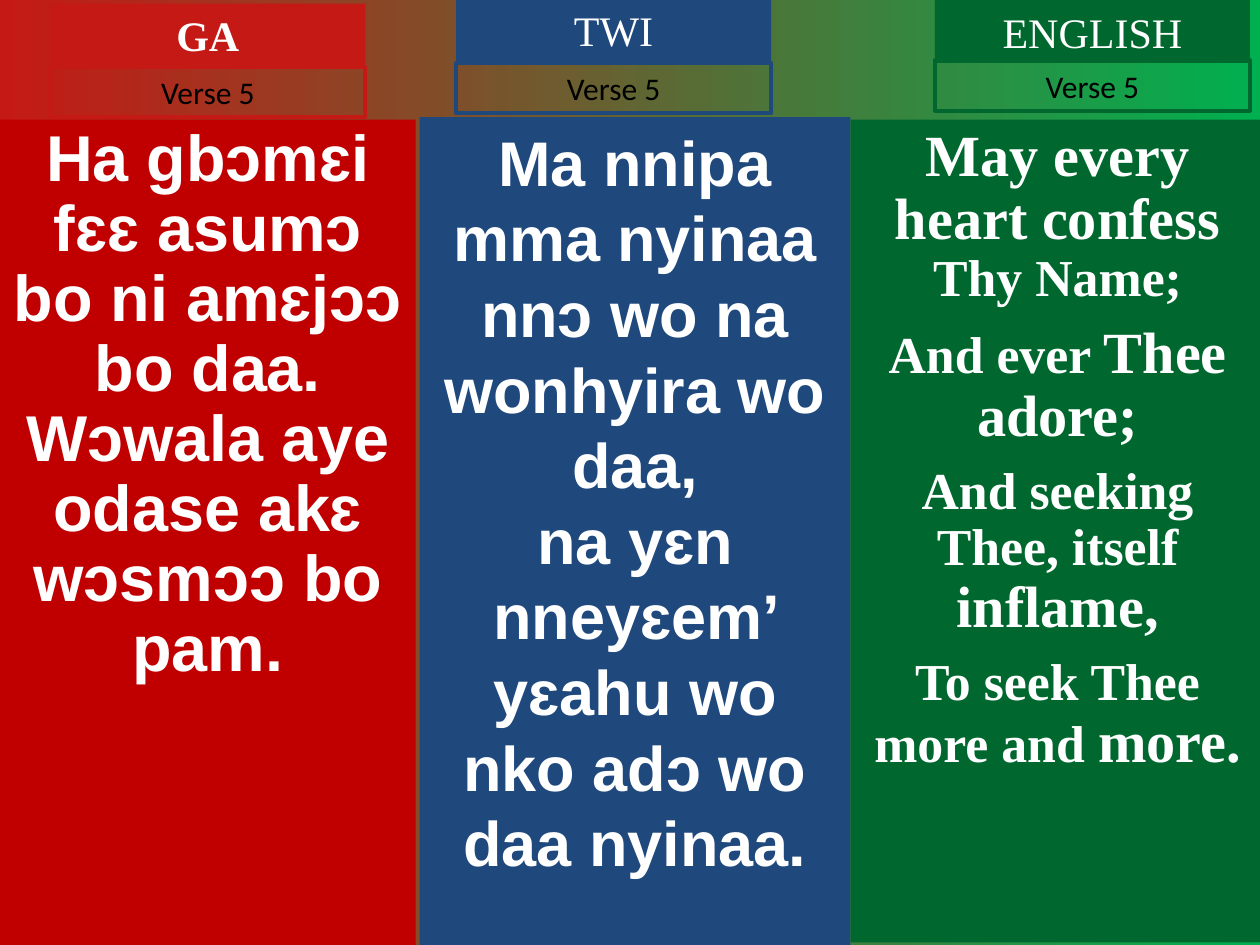
"""Build a hymn slide showing verse 5 side by side in Ga, Twi and English."""
from pptx import Presentation
from pptx import util as u
from pptx.dml.color import RGBColor
from pptx.enum import shapes, text

COLORS = {"red": "C51915", "deep red": "C00000", "blue": "1F497D", "green": "00682F",
          "bright green": "00B050", "white": "FFFFFF", "black": "000000"}
WIDTH, HEIGHT = 10, 7.5
HEAD_W, HEAD_H, LABEL_H = WIDTH / 4, 0.5, 0.4
BIG, SMALL = 33.3, 29.6
SERIF = "Times New Roman"
VERSE = "Verse 5"

COLUMNS = [
    {"title": "GA", "bold": True, "color": "red", "panel": "deep red", "font": "Arial",
     "box": (0, 0.95, 3.3, 6.55), "head": (0.4, 0.03), "label_top": 0.53,
     "spacing": 0.9, "before": 0,
     "verse": [[("Ha gbɔmɛi fɛɛ asumɔ bo ni amɛjɔɔ bo daa.", 37)],
               [("Wɔwala aye odase akɛ wɔsmɔɔ bo pam.", 37)]]},
    {"title": "TWI", "bold": False, "color": "blue", "panel": "blue", "font": "Arial",
     "box": (3.33, 0.93, 3.42, 6.57), "head": (3.62, -0.01), "label_top": 0.5,
     "spacing": 1, "before": 0,
     "verse": [[("Ma nnipa mma nyinaa nnɔ wo na wonhyira wo daa,", 36)],
               [("na yɛn nneyɛem’ yɛahu wo nko adɔ wo daa nyinaa.", 36)]]},
    {"title": "ENGLISH", "bold": False, "color": "green", "panel": "green", "font": SERIF,
     "box": (6.75, 0.95, 3.29, 6.53), "head": (7.42, 0), "label_top": 0.48,
     "spacing": 0.9, "before": 9,
     "verse": [[("May every heart confess ", BIG), ("Thy Name;", SMALL)],
               [("And ever ", SMALL), ("Thee adore;", BIG)],
               [("And seeking Thee, itself ", SMALL), ("inflame,", BIG)],
               [("To seek Thee more and ", SMALL), ("more.", BIG)]]},
]


def rgb(name):
    return RGBColor.from_string(COLORS[name])


def add_box(s, box, paragraphs, font, color, bold=False, fill=None, line=None,
            spacing=1, before=0, grow=False):
    sp = s.shapes.add_shape(shapes.MSO_SHAPE.RECTANGLE, *map(u.Inches, box))
    sp.shadow.inherit = False
    for part, name in ((sp.fill, fill), (sp.line.fill, line)):
        if name:
            part.solid()
            part.fore_color.rgb = rgb(name)
        else:
            part.background()
    if line:
        sp.line.width = u.Pt(2.25)
    tf = sp.text_frame
    frame = {"word_wrap": True, "vertical_anchor": text.MSO_ANCHOR.TOP,
             "auto_size": text.MSO_AUTO_SIZE.SHAPE_TO_FIT_TEXT if grow
             else text.MSO_AUTO_SIZE.NONE}
    for key, value in frame.items():
        setattr(tf, key, value)
    for i, runs in enumerate(paragraphs):
        p = tf.add_paragraph() if i else tf.paragraphs[0]
        layout = {"alignment": text.PP_ALIGN.CENTER, "line_spacing": spacing,
                  "space_before": u.Pt(before if i else 0)}
        for key, value in layout.items():
            setattr(p, key, value)
        for words, size in runs:
            r = p.add_run()
            r.text = words
            for key, value in {"name": font, "size": u.Pt(size), "bold": bold}.items():
                setattr(r.font, key, value)
            r.font.color.rgb = rgb(color)


def main():
    prs = Presentation()
    prs.slide_width, prs.slide_height = u.Inches(WIDTH), u.Inches(HEIGHT)
    s = prs.slides.add_slide(prs.slide_layouts[6])
    bg = s.background.fill
    bg.gradient()
    bg.gradient_angle = 0
    for stop, name in zip(bg.gradient_stops, ("red", "bright green")):
        stop.color.rgb = rgb(name)
    for col in COLUMNS:
        left, top = col["head"]
        add_box(s, col["box"], col["verse"], col["font"], "white", True, col["panel"],
                spacing=col["spacing"], before=col["before"])
        add_box(s, (left, top, HEAD_W, HEAD_H), [[(col["title"], 24)]], SERIF, "white",
                col["bold"], col["color"], grow=True)
        add_box(s, (left, col["label_top"], HEAD_W, LABEL_H), [[(VERSE, 18)]], "Calibri",
                "black", line=col["color"], grow=True)
    prs.save("out.pptx")


if __name__ == "__main__":
    main()
